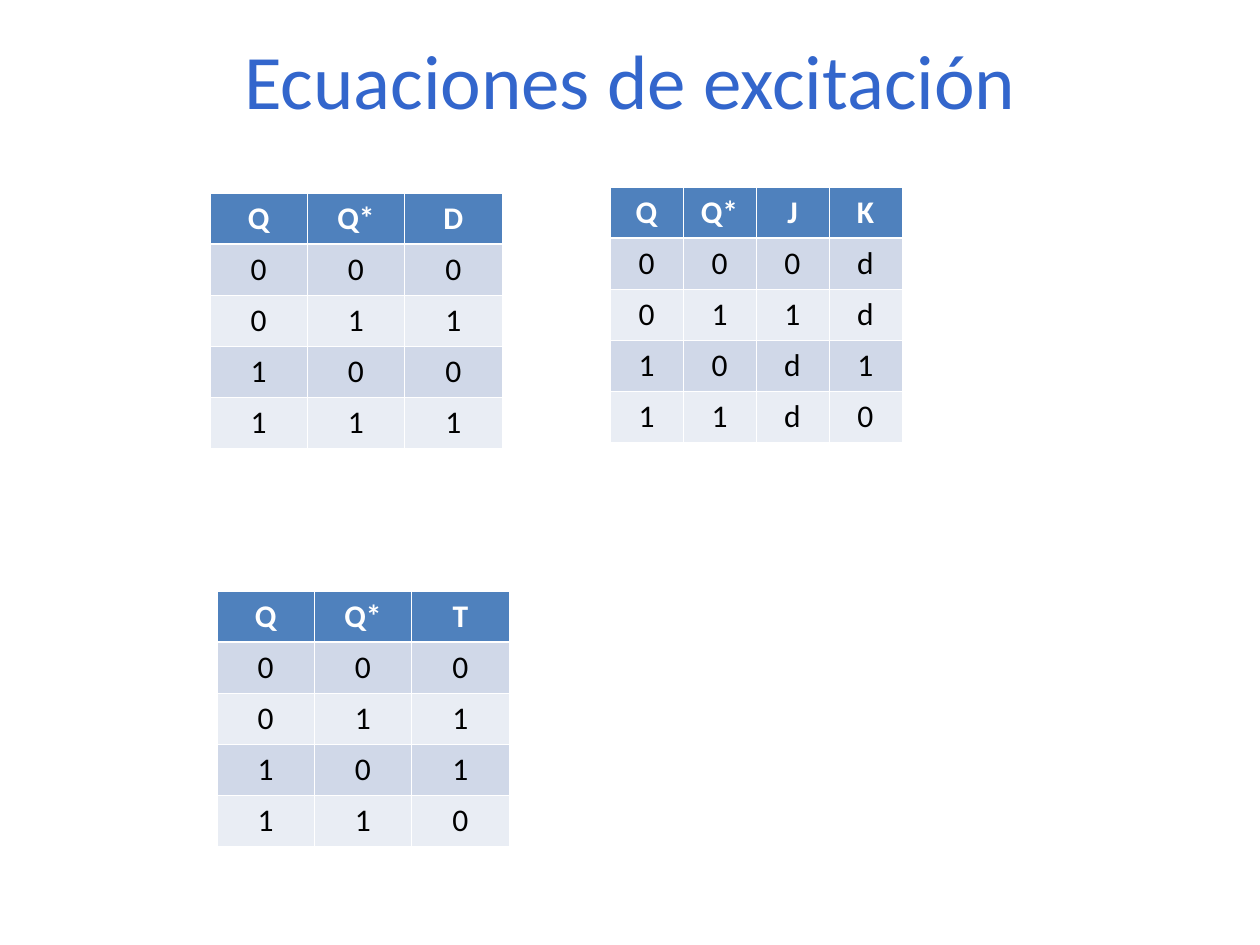
"""Build a slide with the excitation tables of the D, JK and T flip-flops."""
from dataclasses import dataclass

from lxml import etree
from pptx import Presentation
from pptx.dml.color import RGBColor
from pptx.enum.text import MSO_ANCHOR, PP_ALIGN
from pptx.oxml.ns import qn
from pptx.util import Pt

MIDDLE = MSO_ANCHOR.MIDDLE
CENTER = PP_ALIGN.CENTER

BLUE = RGBColor(0x33, 0x66, 0xCC)
HEAD = RGBColor(0x4F, 0x81, 0xBD)
DARK = RGBColor(0xD0, 0xD8, 0xE8)
LIGHT = RGBColor(0xE9, 0xED, 0xF4)
WHITE = RGBColor(0xFF, 0xFF, 0xFF)
BLACK = RGBColor(0x00, 0x00, 0x00)

FONT = "Calibri"
SCALE = 914400 / 126
WIDTH = 292
ROW = 51
THIN = Pt(0.45)
THICK = Pt(1.47)


@dataclass(frozen=True)
class Grid:
    """A truth table with its top left corner in px."""

    left: int
    top: int
    rows: tuple[str, ...]


GRIDS = (
    Grid(210, 193, ("Q Q* D", "0 0 0", "0 1 1", "1 0 0", "1 1 1")),
    Grid(610, 187, ("Q Q* J K", "0 0 0 d", "0 1 1 d", "1 0 d 1", "1 1 d 0")),
    Grid(217, 591, ("Q Q* T", "0 0 0", "0 1 1", "1 0 1", "1 1 0")),
)


def px(count: int) -> int:
    """Turn px into EMU."""
    return round(count * SCALE)


def style(para, size: int, color: RGBColor, bold: bool = False) -> None:
    """Centre a paragraph and format its runs."""
    para.alignment = CENTER
    for run in para.runs:
        run.font.name = FONT
        run.font.size = Pt(size)
        run.font.bold = bold
        run.font.color.rgb = color


def edge(cell, side: str, width: int) -> None:
    """Give one side of a cell a white border."""
    props = cell._tc.get_or_add_tcPr()
    line = etree.SubElement(props, qn(f"a:ln{side}"), w=str(width))
    fill = etree.SubElement(line, qn("a:solidFill"))
    etree.SubElement(fill, qn("a:srgbClr"), val=str(WHITE))


def draw_cell(cell, text: str, row: int) -> None:
    """Fill, border and label one cell according to its row."""
    head = row == 0
    edge(cell, "L", THIN)
    edge(cell, "R", THIN)
    edge(cell, "T", THICK if row == 1 else THIN)
    edge(cell, "B", THICK if head else THIN)
    cell.fill.solid()
    cell.fill.fore_color.rgb = HEAD if head else DARK if row % 2 else LIGHT
    cell.text_frame.text = text
    style(cell.text_frame.paragraphs[0], 18, WHITE if head else BLACK, head)


def draw_grid(slide, grid: Grid) -> None:
    """Add one truth table with equal columns and rows."""
    rows = [row.split() for row in grid.rows]
    table = slide.shapes.add_table(
        len(rows), len(rows[0]), px(grid.left), px(grid.top),
        px(WIDTH), px(ROW * len(rows)),
    ).table
    for r, row in enumerate(rows):
        for c, text in enumerate(row):
            draw_cell(table.cell(r, c), text, r)


def draw_title(slide, text: str) -> None:
    """Place and format the title placeholder."""
    title = slide.shapes.title
    title.left, title.top = px(95), px(0)
    title.width, title.height = px(1071), px(157)
    frame = title.text_frame
    frame.text = text
    frame.vertical_anchor = MIDDLE
    style(frame.paragraphs[0], 44, BLUE)


def main() -> None:
    """Build and save the slide."""
    deck = Presentation()
    deck.slide_width, deck.slide_height = px(1260), px(945)
    slide = deck.slides.add_slide(deck.slide_layouts[5])
    draw_title(slide, "Ecuaciones de excitación")
    for grid in GRIDS:
        draw_grid(slide, grid)
    deck.save("out.pptx")


if __name__ == "__main__":
    main()
